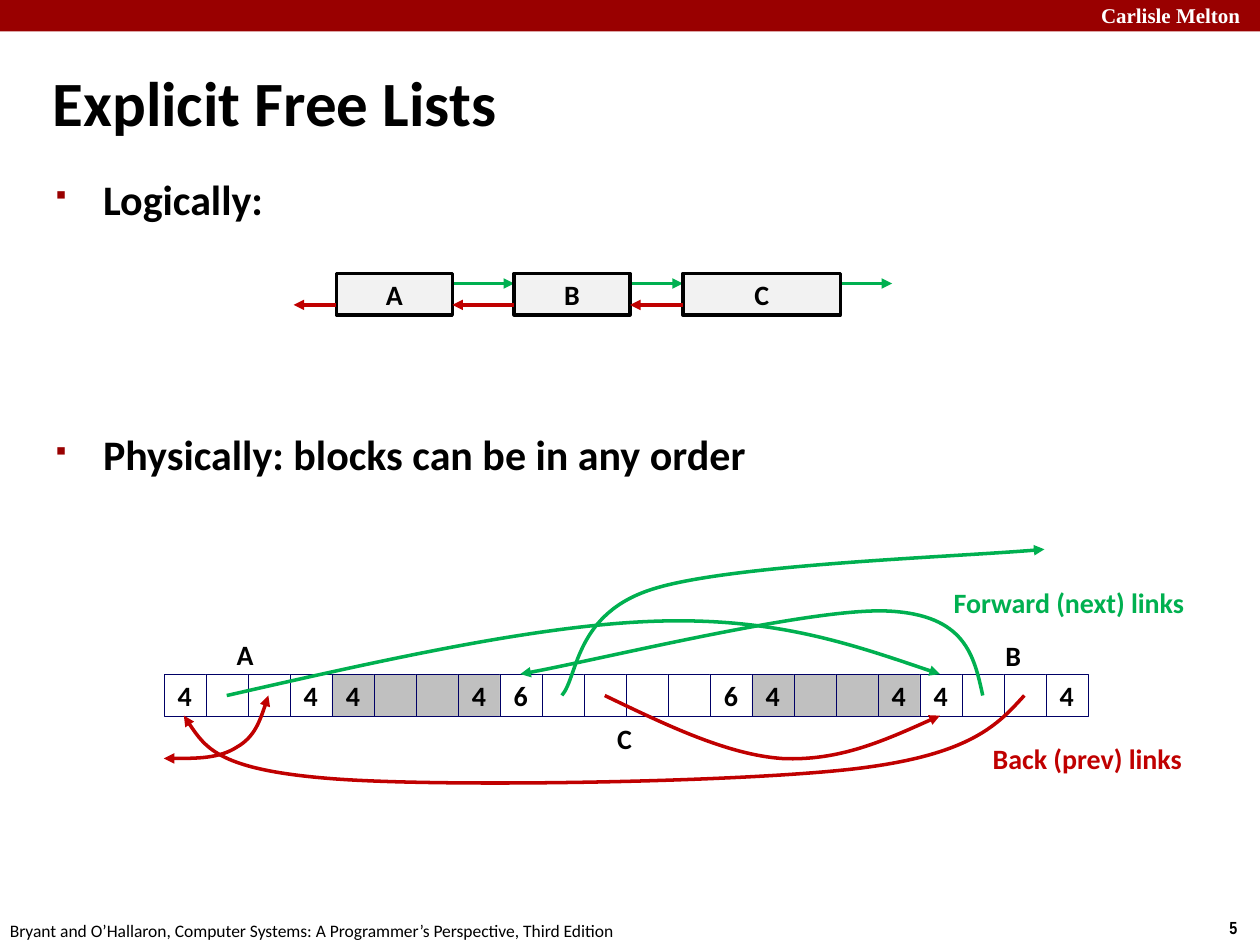
from dataclasses import dataclass

from lxml.etree import SubElement
from pptx import Presentation
from pptx.dml.color import RGBColor
from pptx.enum.shapes import MSO_CONNECTOR as Connector, MSO_SHAPE as Shape
from pptx.enum.text import MSO_ANCHOR as Anchor, PP_ALIGN as Align
from pptx.oxml.ns import qn
from pptx.util import Inches, Pt


@dataclass(frozen=True)
class Theme:
    font: str = "Calibri"
    banner_font: str = "Times New Roman"
    number_font: str = "Arial Narrow"
    bullet_font: str = "Wingdings"
    banner: str = "990000"
    ink: str = "000000"
    paper: str = "FFFFFF"
    node: str = "F2F2F2"
    allocated: str = "C0C0C0"
    cell_edge: str = "000066"
    forward: str = "00B050"
    back: str = "C00000"
    title_size: int = 36
    body_size: int = 24
    label_size: int = 16
    banner_size: int = 12
    footer_size: int = 10
    link_width: float = 2
    cell_width: float = 0.25


THEME = Theme()
CELL = 1 / 3
HEAP_LEFT, HEAP_TOP = 1.3, 5.35


def rgb(color):
    return RGBColor.from_string(color)


def style(paragraph, size, color=THEME.ink, font=THEME.font, bold=True):
    paragraph.font.size = Pt(size)
    paragraph.font.color.rgb = rgb(color)
    paragraph.font.name = font
    paragraph.font.bold = bold


def add_text(slide, box, text, size, wrap=False, anchor=Anchor.TOP, **look):
    frame = slide.shapes.add_textbox(*map(Inches, box)).text_frame
    frame.word_wrap = wrap
    frame.vertical_anchor = anchor
    paragraph = frame.paragraphs[0]
    paragraph.text = text
    style(paragraph, size, **look)
    return paragraph


def add_block(slide, box, fill, edge=None, width=0, text=""):
    block = slide.shapes.add_shape(Shape.RECTANGLE, *map(Inches, box))
    block.shadow.inherit = False
    block.fill.solid()
    block.fill.fore_color.rgb = rgb(fill)
    if edge:
        block.line.color.rgb = rgb(edge)
        block.line.width = Pt(width)
    else:
        block.line.fill.background()
    if text:
        frame = block.text_frame
        frame.word_wrap = False
        frame.vertical_anchor = Anchor.MIDDLE
        label = frame.paragraphs[0]
        label.text = text
        label.alignment = Align.CENTER
        style(label, THEME.label_size)


def style_link(link, color, ends=("tailEnd",)):
    link.line.color.rgb = rgb(color)
    link.line.width = Pt(THEME.link_width)
    outline = link.line._get_or_add_ln()
    for end in ends:
        SubElement(outline, qn(f"a:{end}"), type="triangle")


def add_arrow(slide, start, end, y, color):
    ends = map(Inches, (start, y, end, y))
    arrow = slide.shapes.add_connector(Connector.STRAIGHT, *ends)
    style_link(arrow, color)
    SubElement(arrow._element.spPr, qn("a:effectLst"))


def add_curve(slide, points, color, ends=("tailEnd",)):
    start, *controls = [(Inches(x), Inches(y)) for x, y in points]
    builder = slide.shapes.build_freeform(*start)
    builder.add_line_segments(controls, close=False)
    curve = builder.convert_to_shape()
    outline = next(curve._element.iter(qn("a:path")))
    segments = outline.findall(qn("a:lnTo"))
    for first in range(0, len(segments), 3):
        bezier = SubElement(outline, qn("a:cubicBezTo"))
        for segment in segments[first:first + 3]:
            bezier.append(segment[0])
            outline.remove(segment)
    curve.shadow.inherit = False
    curve.fill.background()
    style_link(curve, color, ends)


def add_frame(slide):
    add_block(slide, (0, 0, 10, 0.25), THEME.banner)
    add_text(slide, (8.64, -0.03, 1.43, 0.3), "Carlisle Melton", THEME.banner_size,
             color=THEME.paper, font=THEME.banner_font)
    add_text(slide, (9.66, 7.23, 0.34, 0.27), "5", THEME.footer_size,
             font=THEME.number_font)
    add_text(slide, (-0.02, 7.25, 5.08, 0.27),
             "Bryant and O’Hallaron, Computer Systems: "
             "A Programmer’s Perspective, Third Edition",
             THEME.footer_size, bold=False)
    title = add_text(slide, (0.32, 0.53, 6.64, 0.63), "Explicit Free Lists",
                     THEME.title_size, wrap=True, anchor=Anchor.MIDDLE)
    title.line_spacing = 0.87


def add_bullet(paragraph, space_before):
    paragraph.line_spacing = 0.85
    paragraph.space_before = Pt(space_before)
    properties = paragraph._p.get_or_add_pPr()
    properties.set("marL", str(Inches(0.38)))
    properties.set("indent", str(-Inches(0.38)))
    tint = SubElement(properties, qn("a:buClr"))
    SubElement(tint, qn("a:srgbClr"), val=THEME.banner)
    SubElement(properties, qn("a:buSzPct"), val="60000")
    SubElement(properties, qn("a:buFont"), typeface=THEME.bullet_font, charset="2")
    SubElement(properties, qn("a:buChar"), char="§")
    properties.append(properties.find(qn("a:defRPr")))


def add_bullets(slide):
    logical = add_text(slide, (0.34, 1.39, 9.09, 2.66), "Logically:",
                       THEME.body_size, wrap=True)
    frame = slide.shapes[-1].text_frame
    physical = frame.add_paragraph()
    physical.text = "Physically: blocks can be in any order"
    style(physical, THEME.body_size)
    add_bullet(logical, 4.8)
    add_bullet(physical, 121.4)


def add_logical_list(slide):
    nodes = (("A", 2.67, 0.92), ("B", 4.08, 0.92), ("C", 5.42, 1.25))
    lefts = [left for _, left, _ in nodes]
    rights = [left + width for _, left, width in nodes]
    for start, end in zip(rights, lefts[1:] + [7.08]):
        add_arrow(slide, start, end, 2.25, THEME.forward)
    for name, left, width in nodes:
        add_block(slide, (left, 2.17, width, 0.33), THEME.node,
                  THEME.ink, THEME.link_width, name)
    for start, end in zip(lefts, [2.33] + rights):
        add_arrow(slide, start, end, 2.42, THEME.back)


def add_heap(slide):
    blocks = ((4, THEME.paper), (4, THEME.allocated), (6, THEME.paper),
              (4, THEME.allocated), (4, THEME.paper))
    left = HEAP_LEFT
    for size, fill in blocks:
        for word in range(size):
            tag = str(size) if word in (0, size - 1) else ""
            add_block(slide, (left, HEAP_TOP, CELL, CELL), fill,
                      THEME.cell_edge, THEME.cell_width, tag)
            left += CELL


def add_heap_links(slide):
    forward_links = (
        [(1.8, 5.52), (3.03, 5.24), (4.27, 4.96), (5.21, 4.93),
         (6.16, 4.9), (6.81, 5.13), (7.46, 5.35)],
        [(7.8, 5.52), (7.73, 5.2), (7.66, 4.88), (7.05, 4.85),
         (6.44, 4.82), (4.62, 5.27), (4.13, 5.35)],
        [(4.46, 5.52), (4.59, 5.37), (4.56, 4.86), (5.2, 4.67),
         (5.83, 4.48), (7.64, 4.42), (8.29, 4.36)],
    )
    back_links = (
        [(8.13, 5.52), (7.92, 5.75), (7.71, 5.99), (6.8, 6.1), (5.88, 6.21),
         (3.52, 6.25), (2.63, 6.18), (1.74, 6.11), (1.6, 5.9), (1.46, 5.68)],
        [(4.8, 5.52), (5.28, 5.75), (5.77, 5.99), (6.21, 6.02),
         (6.66, 6.04), (7.06, 5.86), (7.46, 5.68)],
    )
    list_end = [(2.13, 5.52), (2.08, 5.68), (2.02, 5.85), (1.88, 5.93),
                (1.74, 6.02), (1.52, 6.02), (1.3, 6.02)]
    for points in forward_links:
        add_curve(slide, points, THEME.forward)
    for points in back_links:
        add_curve(slide, points, THEME.back)
    add_curve(slide, list_end, THEME.back, ("headEnd", "tailEnd"))


def add_heap_labels(slide):
    labels = (("Forward (next) links", 7.47, 4.6, 2.05, THEME.forward),
              ("Back (prev) links", 7.78, 5.84, 1.72, THEME.back),
              ("A", 1.78, 5.01, 0.34, THEME.ink),
              ("B", 7.88, 5.02, 0.32, THEME.ink),
              ("C", 4.8, 5.68, 0.32, THEME.ink))
    for text, left, top, width, color in labels:
        add_text(slide, (left, top, width, 0.37), text, THEME.label_size, color=color)


def main():
    deck = Presentation()
    deck.slide_width, deck.slide_height = Inches(10), Inches(7.5)
    slide = deck.slides.add_slide(deck.slide_layouts[6])
    for add_part in (add_frame, add_bullets, add_logical_list,
                     add_heap, add_heap_links, add_heap_labels):
        add_part(slide)
    deck.save("out.pptx")


if __name__ == "__main__":
    main()
